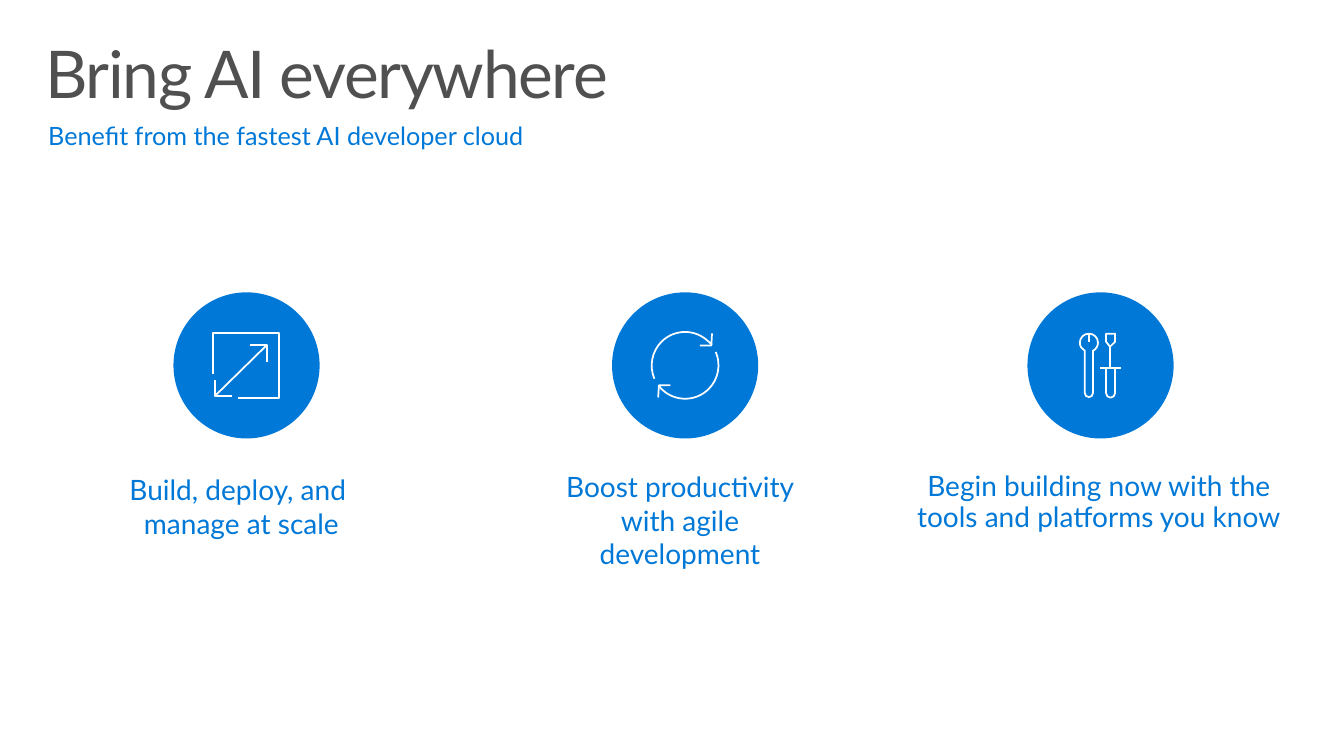
from dataclasses import dataclass
from math import cos, floor, radians, sin, tan
from typing import NamedTuple

from lxml import etree
from pptx import Presentation
from pptx.dml.color import RGBColor
from pptx.enum.shapes import MSO_CONNECTOR, MSO_SHAPE
from pptx.enum.text import MSO_ANCHOR, MSO_AUTO_SIZE, PP_ALIGN
from pptx.oxml.ns import qn
from pptx.util import Inches, Pt

STRAIGHT = MSO_CONNECTOR.STRAIGHT
OVAL = MSO_SHAPE.OVAL
TOP = MSO_ANCHOR.TOP
NO_AUTOFIT = MSO_AUTO_SIZE.NONE
LEFT, CENTER = PP_ALIGN.LEFT, PP_ALIGN.CENTER

BLUE = RGBColor(0x00, 0x78, 0xD7)
GRAY = RGBColor(0x50, 0x50, 0x50)
WHITE = RGBColor(0xFF, 0xFF, 0xFF)
FONT = "Lato"
BADGE_TOP, BADGE_SIZE = 2.9, 1.45
STROKE_WIDTH = Pt(1.25)

Point = tuple[float, float]
Box = tuple[float, float, float, float]


class Curve(NamedTuple):
    """Two control points and the end of a cubic curve."""
    control_1: Point
    control_2: Point
    end: Point


class Contour(NamedTuple):
    start: Point
    segments: list[Point | Curve]
    closed: bool = False


class Outline(NamedTuple):
    contours: list[Contour]
    rotation: float = 0


@dataclass(frozen=True)
class TextStyle:
    size: float
    color: RGBColor
    insets: Box
    alignment: PP_ALIGN = LEFT
    line_spacing: float = 1.0


@dataclass(frozen=True)
class Icon:
    """Outlines and straight lines, in inches from the badge corner."""
    outlines: list[Outline]
    lines: list[tuple[Point, Point]]


@dataclass(frozen=True)
class Benefit:
    badge_left: float
    icon: Icon
    caption: str
    caption_box: Box
    line_spacing: float = 1.0


def polyline(*points: Point, closed: bool = False) -> Contour:
    return Contour(points[0], list(points[1:]), closed)


def arc(center: Point, radius: float, start: float, end: float) -> list[Curve]:
    """Clockwise arc, split at each quarter turn."""
    curves = []
    while start < end:
        stop = min(end, (floor(start / 90) + 1) * 90)
        reach = 4 / 3 * tan(radians(stop - start) / 4)

        def at(angle: float, offset: float) -> Point:
            turn = radians(angle)
            return (center[0] + radius * (cos(turn) - offset * sin(turn)),
                    center[1] + radius * (sin(turn) + offset * cos(turn)))

        curves.append(Curve(at(start, reach), at(stop, -reach), at(stop, 0)))
        start = stop
    return curves


SCALE_ICON = Icon(
    outlines=[
        Outline([polyline((0.39, 0.81), (0.39, 0.4), (1.05, 0.4),
                          (1.05, 1.05), (0.64, 1.05))]),
        Outline([polyline((0.58, 1.03), (0.41, 1.03), (0.41, 0.87))]),
        Outline([polyline((0.93, 0.69), (0.76, 0.69), (0.76, 0.52))], 180),
    ],
    lines=[((0.41, 1.03), (0.93, 0.52))],
)

CYCLE_ICON = Icon(
    outlines=[
        Outline([Contour((0.79, 0.53), arc((0.67, 0.84), 0.33, -69, 90))], 45),
        Outline([Contour((0.66, 0.92), arc((0.78, 0.61), 0.33, 111, 270))], 45),
        Outline([polyline((0.92, 0.58), (1.0, 0.5), (0.92, 0.41))], 45),
        Outline([polyline((0.53, 0.87), (0.45, 0.95), (0.53, 1.04))], 45),
    ],
    lines=[((0.77, 0.69), (0.77, 0.69)), ((0.96, 0.49), (0.99, 0.52)),
           ((0.49, 0.96), (0.47, 0.93))],
)

TOOLS_ICON = Icon(
    outlines=[Outline([
        Contour((0.65, 0.58), [(0.65, 1.0), *arc((0.61, 1.0), 0.04, 0, 180),
                               (0.57, 0.58),
                               *arc((0.61, 0.5), 0.09, 116, 424)], True),
        Contour((0.87, 0.75), [(0.87, 1.0),
                               *arc((0.825, 1.0), 0.045, 0, 180),
                               (0.78, 0.75)]),
        polyline((0.61, 0.41), (0.61, 0.49)),
        polyline((0.72, 0.75), (0.93, 0.75)),
        polyline((0.82, 0.75), (0.82, 0.54)),
        polyline((0.87, 0.41), (0.78, 0.41), (0.78, 0.49), (0.82, 0.54),
                 (0.87, 0.49), closed=True),
    ])],
    lines=[],
)

BENEFITS = [
    Benefit(1.72, SCALE_ICON, "Build, deploy, and \vmanage at scale",
            (0.89, 4.53, 3.11, 1.0)),
    Benefit(10.19, TOOLS_ICON,
            "Begin building now with the tools and platforms you know",
            (8.98, 4.53, 3.94, 0.93), line_spacing=0.9),
    Benefit(6.07, CYCLE_ICON, "Boost productivity with agile development",
            (5.23, 4.5, 3.13, 1.0)),
]


def write_text(shape, text: str, style: TextStyle) -> None:
    frame = shape.text_frame
    frame.text = text
    left, top, right, bottom = map(Inches, style.insets)
    paragraph = frame.paragraphs[0]
    formats = [
        (frame, {"word_wrap": True, "auto_size": NO_AUTOFIT,
                 "vertical_anchor": TOP, "margin_left": left,
                 "margin_top": top, "margin_right": right,
                 "margin_bottom": bottom}),
        (paragraph, {"alignment": style.alignment,
                     "line_spacing": style.line_spacing}),
    ]
    for run in paragraph.runs:
        formats.append((run.font, {"name": FONT, "size": Pt(style.size)}))
        run.font.color.rgb = style.color
    for target, values in formats:
        for name, value in values.items():
            setattr(target, name, value)


def add_text(slide, box: Box, text: str, style: TextStyle) -> None:
    write_text(slide.shapes.add_textbox(*map(Inches, box)), text, style)


def format_stroke(line) -> None:
    line.color.rgb = WHITE
    line.width = STROKE_WIDTH


def add_outline(shapes, outline: Outline, left: float) -> None:
    def place(point: Point) -> tuple[int, int]:
        return Inches(left + point[0]), Inches(BADGE_TOP + point[1])

    builder = shapes.build_freeform(*place(outline.contours[0].start))
    for index, contour in enumerate(outline.contours):
        if index:
            builder.move_to(*place(contour.start))
        for segment in contour.segments:
            points = segment if isinstance(segment, Curve) else [segment]
            builder.add_line_segments(map(place, points), close=False)
        if contour.closed:
            builder.add_line_segments([], close=True)
    shape = builder.convert_to_shape()

    # Join the three points of each curve into one cubic segment
    steps = iter(list(shape._element.iter(qn("a:lnTo"))))
    for contour in outline.contours:
        for segment in contour.segments:
            step = next(steps)
            if isinstance(segment, Curve):
                step.tag = qn("a:cubicBezTo")
                for other in (next(steps), next(steps)):
                    step.append(other[0])
                    other.getparent().remove(other)
    shape.rotation = outline.rotation
    shape.shadow.inherit = False
    shape.fill.background()
    format_stroke(shape.line)


def add_badge(slide, benefit: Benefit) -> None:
    shapes = slide.shapes.add_group_shape().shapes
    left = benefit.badge_left
    circle = shapes.add_shape(
        OVAL, *map(Inches, (left, BADGE_TOP, BADGE_SIZE, BADGE_SIZE)))
    circle.shadow.inherit = False
    circle.fill.solid()
    circle.fill.fore_color.rgb = BLUE
    circle.line.fill.background()
    for outline in benefit.icon.outlines:
        add_outline(shapes, outline, left)
    for (x1, y1), (x2, y2) in benefit.icon.lines:
        connector = shapes.add_connector(STRAIGHT, *map(
            Inches, (left + x1, BADGE_TOP + y1, left + x2, BADGE_TOP + y2)))
        format_stroke(connector.line)
        etree.SubElement(connector._element.spPr, qn("a:effectLst"))


def main() -> None:
    presentation = Presentation()
    presentation.slide_width = Inches(13.33)
    presentation.slide_height = Inches(7.5)
    slide = presentation.slides.add_slide(presentation.slide_layouts[5])

    # Title
    title = slide.shapes.title
    title.left, title.top, title.width, title.height = map(
        Inches, (0.29, 0.31, 12.75, 0.98))
    write_text(title, "Bring AI everywhere",
               TextStyle(47, GRAY, (0.16, 0.1, 0.16, 0.1), line_spacing=0.9))
    title_run = title.text_frame.paragraphs[0].runs[0]
    title_run._r.get_or_add_rPr().set("spc", "-100")

    # Captions and subtitle
    for benefit in BENEFITS:
        add_text(slide, benefit.caption_box, benefit.caption,
                 TextStyle(20, BLUE, (0.1, 0.16, 0.2, 0.16), CENTER,
                           benefit.line_spacing))
    add_text(slide, (0.38, 1.14, 12.12, 0.4),
             "Benefit from the fastest AI developer cloud",
             TextStyle(18, BLUE, (0.1, 0.05, 0.1, 0.05)))

    # Badges
    for benefit in BENEFITS:
        add_badge(slide, benefit)

    presentation.save("out.pptx")


if __name__ == "__main__":
    main()
